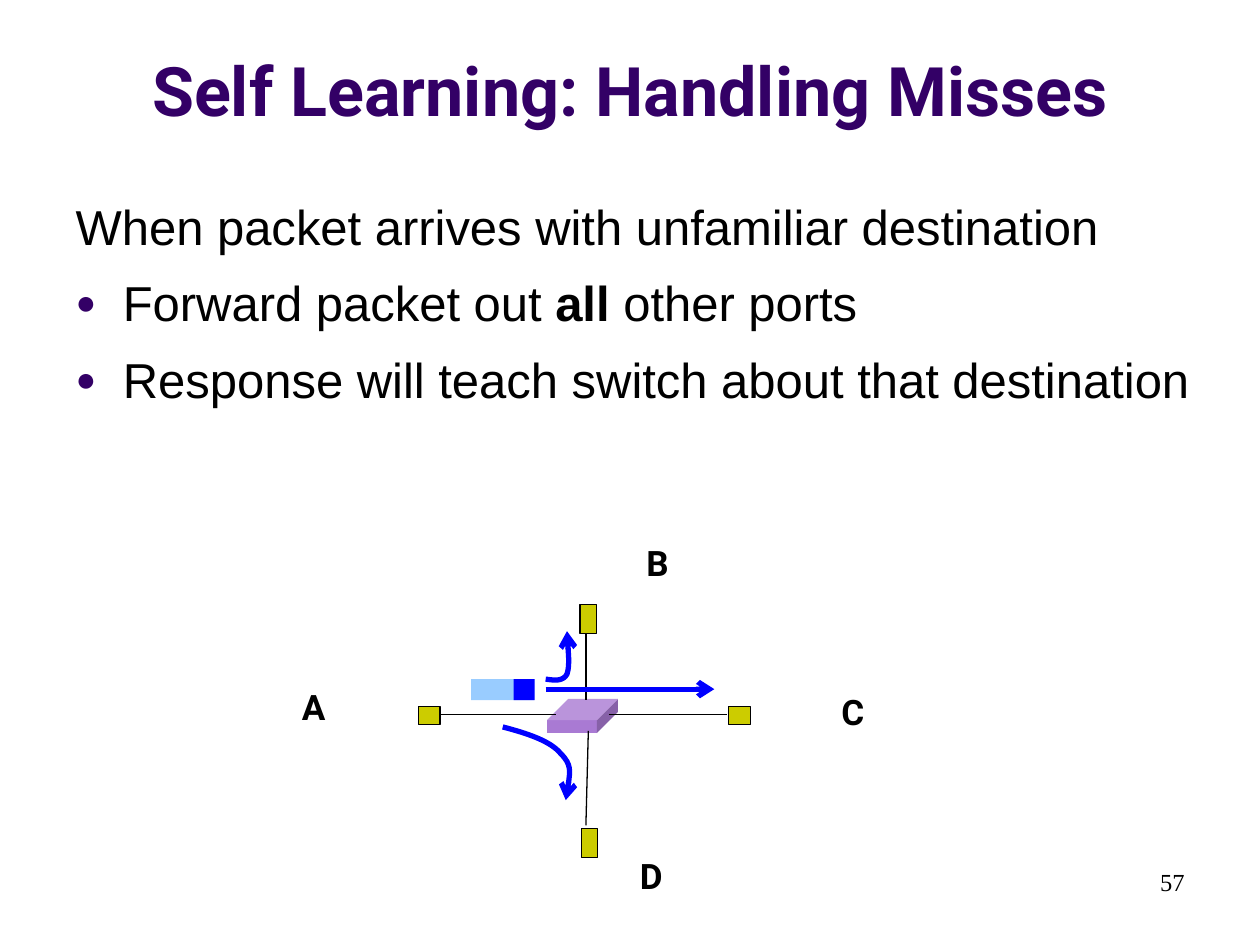
from lxml.etree import SubElement
from pptx import Presentation
from pptx.dml.color import RGBColor
from pptx.enum.shapes import MSO_CONNECTOR, MSO_SHAPE
from pptx.enum.text import MSO_ANCHOR, PP_ALIGN
from pptx.oxml.ns import qn
from pptx.util import Pt

PURPLE, BLACK, BLUE = "330066", "000000", "0000FF"
HOST, SWITCH, PACKET = "CCCC00", "A97AD3", "99CCFF"


def color(hex_code):
    return RGBColor.from_string(hex_code)


class SlideBuilder:
    heading_font, body_font, number_font = "Roboto", "Arial", "Times New Roman"

    def __init__(self, slide):
        self.slide = slide
        self.shapes = slide.shapes

    def place(self, shape, left, top, width, height):
        shape.left, shape.top = Pt(left), Pt(top)
        shape.width, shape.height = Pt(width), Pt(height)

    def style(self, font, name, size, hex_code, bold=False):
        font.name, font.size, font.bold = name, Pt(size), bold
        font.color.rgb = color(hex_code)

    def title(self, text, *box):
        heading = self.shapes.title
        self.place(heading, *box)
        heading.text_frame.text = text
        heading.text_frame.vertical_anchor = MSO_ANCHOR.BOTTOM
        paragraph = heading.text_frame.paragraphs[0]
        paragraph.alignment = PP_ALIGN.CENTER
        self.style(paragraph.font, self.heading_font, 39, PURPLE, True)

    def body(self, items, *box):
        """Each item is (bulleted, [(text, bold), ...])."""
        content = self.slide.placeholders[1]
        self.place(content, *box)
        frame = content.text_frame
        frame.margin_top = Pt(6.5)
        for index, (bulleted, pieces) in enumerate(items):
            paragraph = frame.add_paragraph() if index else frame.paragraphs[0]
            paragraph.line_spacing = 1.1
            paragraph.space_before = Pt(7 if index else 0)
            self.bullet(paragraph, bulleted)
            self.style(paragraph.font, self.body_font, 28, BLACK, None)
            for text, bold in pieces:
                run = paragraph.add_run()
                run.text = text
                if bold:
                    run.font.bold = True

    def bullet(self, paragraph, shown):
        props = paragraph._p.get_or_add_pPr()
        indent = Pt(27) if shown else 0
        props.set("marL", str(indent))
        props.set("indent", str(-indent))
        if not shown:
            SubElement(props, qn("a:buNone"))
            return
        tint = SubElement(props, qn("a:buClr"))
        SubElement(tint, qn("a:srgbClr"), val=PURPLE)
        SubElement(props, qn("a:buSzPct"), val="70000")
        SubElement(props, qn("a:buFont"), typeface=self.body_font)
        SubElement(props, qn("a:buChar"), char="●")

    def label(self, text, box, font, size, bold, alignment, wrap=True):
        frame = self.shapes.add_textbox(*map(Pt, box)).text_frame
        frame.word_wrap = wrap
        frame.text = text
        paragraph = frame.paragraphs[0]
        paragraph.alignment = alignment
        self.style(paragraph.font, font, size, BLACK, bold)

    def block(self, preset, box, fill, outline=None):
        shape = self.shapes.add_shape(preset, *map(Pt, box))
        shape.shadow.inherit = False
        shape.fill.solid()
        shape.fill.fore_color.rgb = color(fill)
        if outline:
            self.stroke(shape, outline, 0.75)
        else:
            shape.line.fill.background()
        return shape

    def stroke(self, shape, hex_code, width, arrow=False):
        shape.line.color.rgb = color(hex_code)
        shape.line.width = Pt(width)
        if arrow:
            SubElement(shape.line._get_or_add_ln(), qn("a:tailEnd"), type="arrow")

    def line(self, start, end, hex_code=BLACK, width=0.75, arrow=False):
        link = self.shapes.add_connector(
            MSO_CONNECTOR.STRAIGHT, *map(Pt, start), *map(Pt, end))
        self.stroke(link, hex_code, width, arrow)
        SubElement(link._element.spPr, qn("a:effectLst"))

    def curved_arrow(self, start, *controls):
        """Draw Bezier segments; every three control points make one."""
        builder = self.shapes.build_freeform(*map(Pt, start))
        builder.add_line_segments([(Pt(x), Pt(y)) for x, y in controls], close=False)
        curve = builder.convert_to_shape()
        outline = next(curve._element.iter(qn("a:path")))
        steps = outline.findall(qn("a:lnTo"))
        for first in range(0, len(steps), 3):
            bezier = SubElement(outline, qn("a:cubicBezTo"))
            for step in steps[first:first + 3]:
                bezier.append(step[0])
                outline.remove(step)
        curve.shadow.inherit = False
        curve.fill.background()
        self.stroke(curve, BLUE, 3, arrow=True)


def main():
    deck = Presentation()
    deck.slide_width, deck.slide_height = Pt(720), Pt(540)
    page = SlideBuilder(deck.slides.add_slide(deck.slide_layouts[1]))

    # Title, list and page number
    page.title("Self Learning: Handling Misses", 0, 9.4, 720, 68.4)
    page.body([
        (False, [("When packet arrives with unfamiliar destination", False)]),
        (True, [("Forward packet out ", False), ("all ", True), ("other ports", False)]),
        (True, [("Response will teach switch about that destination", False)]),
    ], 36, 102.2, 671.8, 380.9)
    page.label("57", (516.2, 491.8, 167.8, 36), page.number_font, 14, False,
               PP_ALIGN.RIGHT)

    # Switch
    switch = page.block(MSO_SHAPE.CUBE, (312.6, 399.4, 40.5, 19.5), SWITCH)
    switch.adjustments[0] = 0.62

    # Hosts: name, name position, box, link ends
    hosts = [
        ("A", (164.9, 388.1), (239, 403.9, 12.5, 10), (251.3, 408.2), (317.5, 408.2)),
        ("B", (361.4, 306), (331.5, 345.4, 9.4, 16.6), (334.8, 362.2), (334.8, 400.3)),
        ("C", (473, 391), (416.2, 403.9, 12.5, 10), (415.4, 408.2), (347.8, 408.2)),
        ("D", (357.8, 484.6), (332.2, 473.6, 9.4, 16.6), (334.8, 471.6), (336.2, 417.6)),
    ]
    for name, corner, host, link_start, link_end in hosts:
        page.block(MSO_SHAPE.RECTANGLE, host, HOST, BLACK)
        page.line(link_start, link_end)
        page.label(name, (*corner, 28.8, 31), page.heading_font, 20, True,
                   PP_ALIGN.CENTER, wrap=False)

    # Packet with its header
    page.block(MSO_SHAPE.RECTANGLE, (269.3, 388.1, 36, 12), PACKET)
    page.block(MSO_SHAPE.RECTANGLE, (293.5, 388.1, 12, 12), BLUE)

    # Forwarding to B, D and C
    page.curved_arrow((311.8, 388.1), (316.8, 388.8), (321.8, 389.5), (324, 385.2),
                      (325.5, 380.2), (324.7, 370.8), (324, 360.7))
    page.curved_arrow((287.3, 415.4), (301, 419), (314.6, 423.4), (320.4, 430.6),
                      (326.9, 437), (325.4, 447.1), (323.3, 457.2))
    page.line((311.8, 393.8), (408.2, 393.8), BLUE, 3, arrow=True)

    deck.save("out.pptx")


if __name__ == "__main__":
    main()
